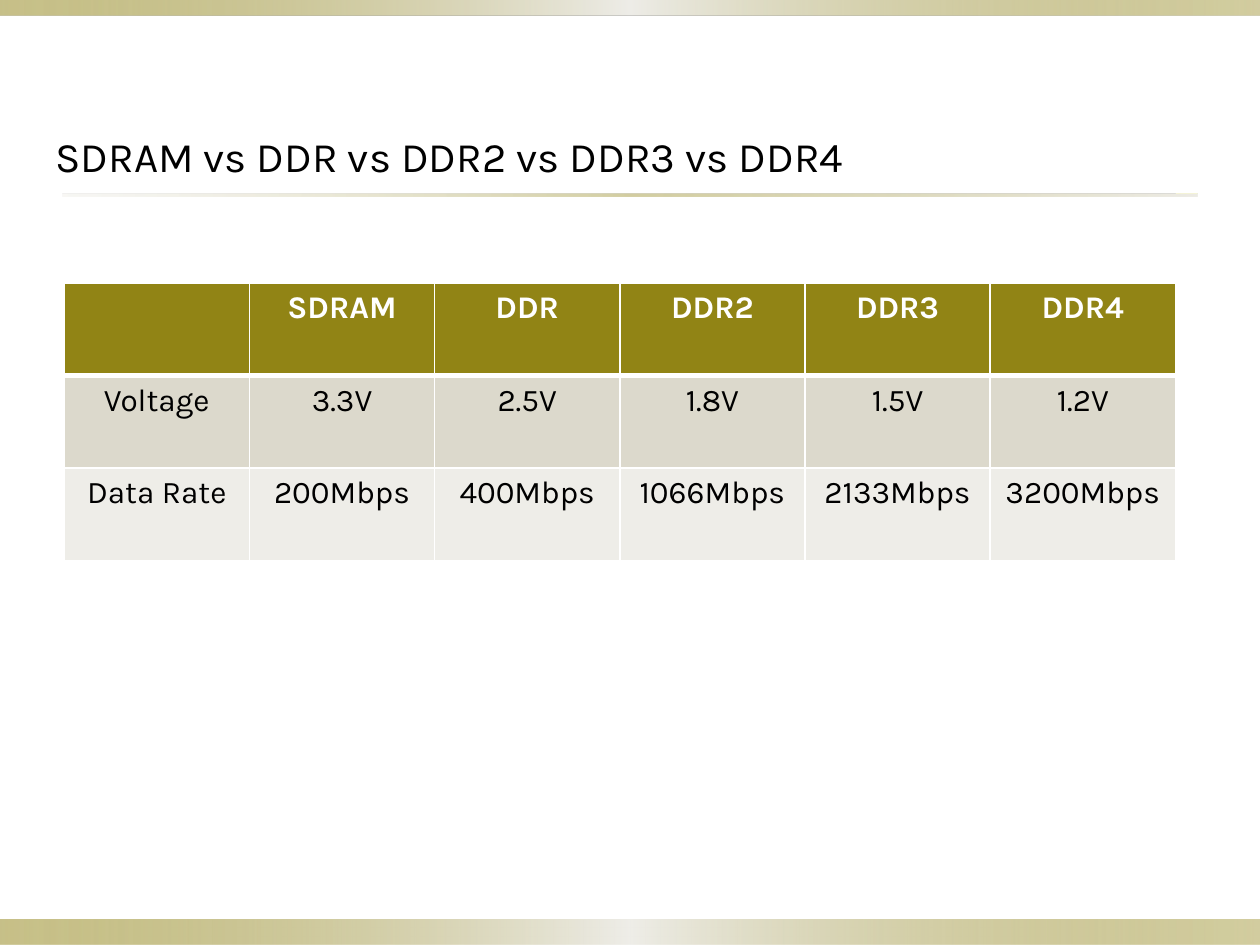
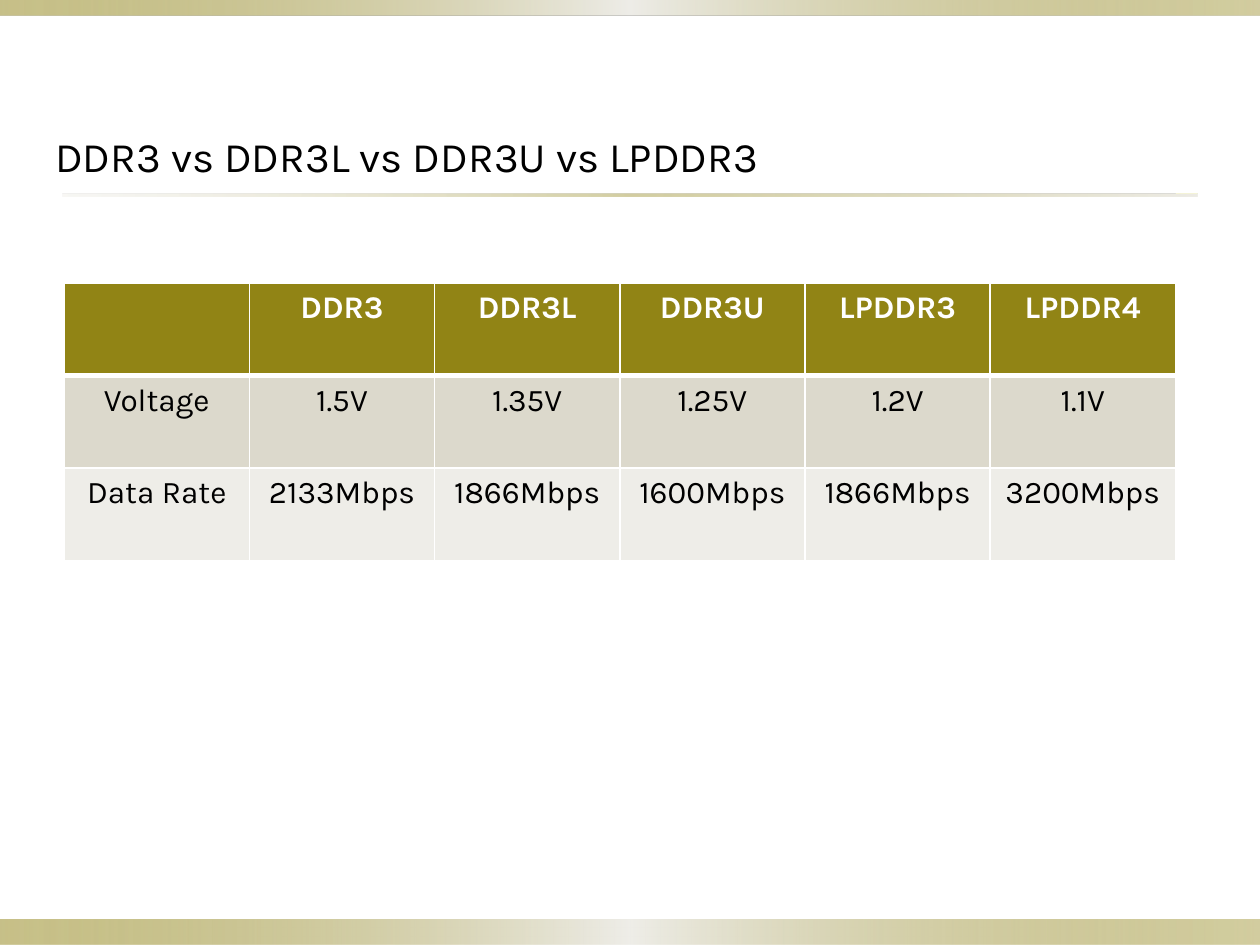
import pptx
import pptx.dml.color
import pptx.enum.shapes
import pptx.enum.text
import pptx.oxml
import pptx.oxml.ns
import pptx.util

WIDE, HIGH = pptx.util.Inches(10), pptx.util.Inches(7.5)
FONT = "Karla"
HUE = {
    "olive": "918415",
    "sand": "DCD9CC",
    "pale": "EEEDE8",
    "white": "FFFFFF",
    "black": "000000",
}
BAND = [(0, "olive", 50), (50, "pale", 100), (100, "olive", 40)]
RULE = [(0, "sand", 20), (50, "olive", 40), (100, "sand", 50)]
STRIPS = [
    ((0, 0.973, 1, 0.027), BAND),
    ((0, 0, 1, 0.016), BAND),
    ((0.05, 0.205, 0.9, 0.003), RULE),
]
TITLE = (0.034, 0.132, 0.898, 0.067)
GRID = (0.051, 0.3, 0.882, 0.293)
ROWS = ["olive", "sand", "pale"]
PAGES = [
    ("SDRAM vs DDR vs DDR2 vs DDR3 vs DDR4", [
        ["", "SDRAM", "DDR", "DDR2", "DDR3", "DDR4"],
        ["Voltage", "3.3V", "2.5V", "1.8V", "1.5V", "1.2V"],
        ["Data Rate", "200Mbps", "400Mbps", "1066Mbps", "2133Mbps", "3200Mbps"],
    ]),
    ("DDR3 vs DDR3L vs DDR3U vs LPDDR3", [
        ["", "DDR3", "DDR3L", "DDR3U", "LPDDR3", "LPDDR4"],
        ["Voltage", "1.5V", "1.35V", "1.25V", "1.2V", "1.1V"],
        ["Data Rate", "2133Mbps", "1866Mbps", "1600Mbps", "1866Mbps", "3200Mbps"],
    ]),
]


def scale(box):
    x, y, w, h = box
    return int(x * WIDE), int(y * HIGH), int(w * WIDE), int(h * HIGH)


def tint(name):
    return pptx.dml.color.RGBColor.from_string(HUE[name])


def parse(xml):
    return pptx.oxml.parse_xml(xml.replace(">", f" {pptx.oxml.ns.nsdecls('a')}>", 1))


def write(frame, text, size=18, color="black", bold=False, align="LEFT"):
    par = frame.paragraphs[0]
    par.alignment = getattr(pptx.enum.text.PP_ALIGN, align)
    run = par.add_run()
    run.text = text
    font = run.font
    font.name, font.size, font.bold = FONT, pptx.util.Pt(size), bold
    font.color.rgb = tint(color)


def strip(slide, box, stops):
    kind = pptx.enum.shapes.MSO_SHAPE.RECTANGLE
    bar = slide.shapes.add_shape(kind, *scale(box))
    bar.shadow.inherit = False
    bar.line.fill.background()
    bar.fill.gradient()
    bar.fill.gradient_angle = 0
    ramp = bar._element.spPr.find(".//" + pptx.oxml.ns.qn("a:gsLst"))
    for stop in list(ramp):
        ramp.remove(stop)
    for place, name, alpha in stops:
        ramp.append(parse(
            f'<a:gs pos="{place * 1000}"><a:srgbClr val="{HUE[name]}">'
            f'<a:alpha val="{alpha * 1000}"/></a:srgbClr></a:gs>'))


def head(slide, box, text):
    area = slide.shapes.add_textbox(*scale(box))
    frame = area.text_frame
    frame.word_wrap = True
    frame.auto_size = pptx.enum.text.MSO_AUTO_SIZE.SHAPE_TO_FIT_TEXT
    write(frame, text, size=24)


def edge(cell, row):
    widths = {"L": 1, "R": 1, "T": 3 if row == 1 else 1, "B": 3 if row == 0 else 1}
    props = cell._tc.get_or_add_tcPr()
    for side, width in widths.items():
        props.append(parse(
            f'<a:ln{side} w="{pptx.util.Pt(width)}"><a:solidFill>'
            f'<a:srgbClr val="{HUE["white"]}"/></a:solidFill></a:ln{side}>'))


def grid(slide, box, data):
    left, top, width, height = scale(box)
    count = len(data[0])
    table = slide.shapes.add_table(len(data), count, left, top, width, height).table
    for col in table.columns:
        col.width = width // count
    for r, (line, shade) in enumerate(zip(data, ROWS)):
        table.rows[r].height = height // len(data)
        for c, text in enumerate(line):
            cell = table.cell(r, c)
            edge(cell, r)
            cell.fill.solid()
            cell.fill.fore_color.rgb = tint(shade)
            if text:
                write(cell.text_frame, text, bold=r == 0, align="CENTER",
                      color="black" if r else "white")


def page(deck, title, data):
    slide = deck.slides.add_slide(deck.slide_layouts[6])
    for box, stops in STRIPS:
        strip(slide, box, stops)
    head(slide, TITLE, title)
    grid(slide, GRID, data)


def main():
    deck = pptx.Presentation()
    deck.slide_width, deck.slide_height = WIDE, HIGH
    for title, data in PAGES:
        page(deck, title, data)
    deck.save("out.pptx")


if __name__ == "__main__":
    main()
